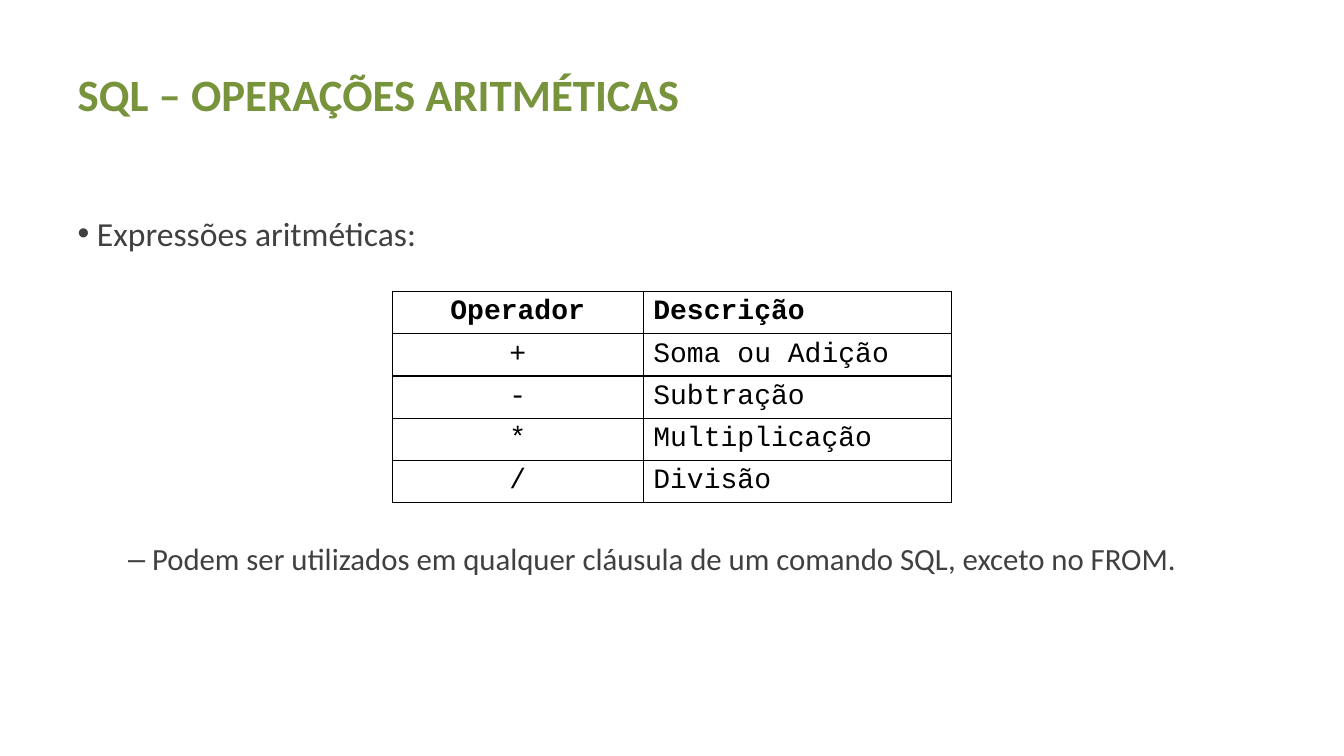
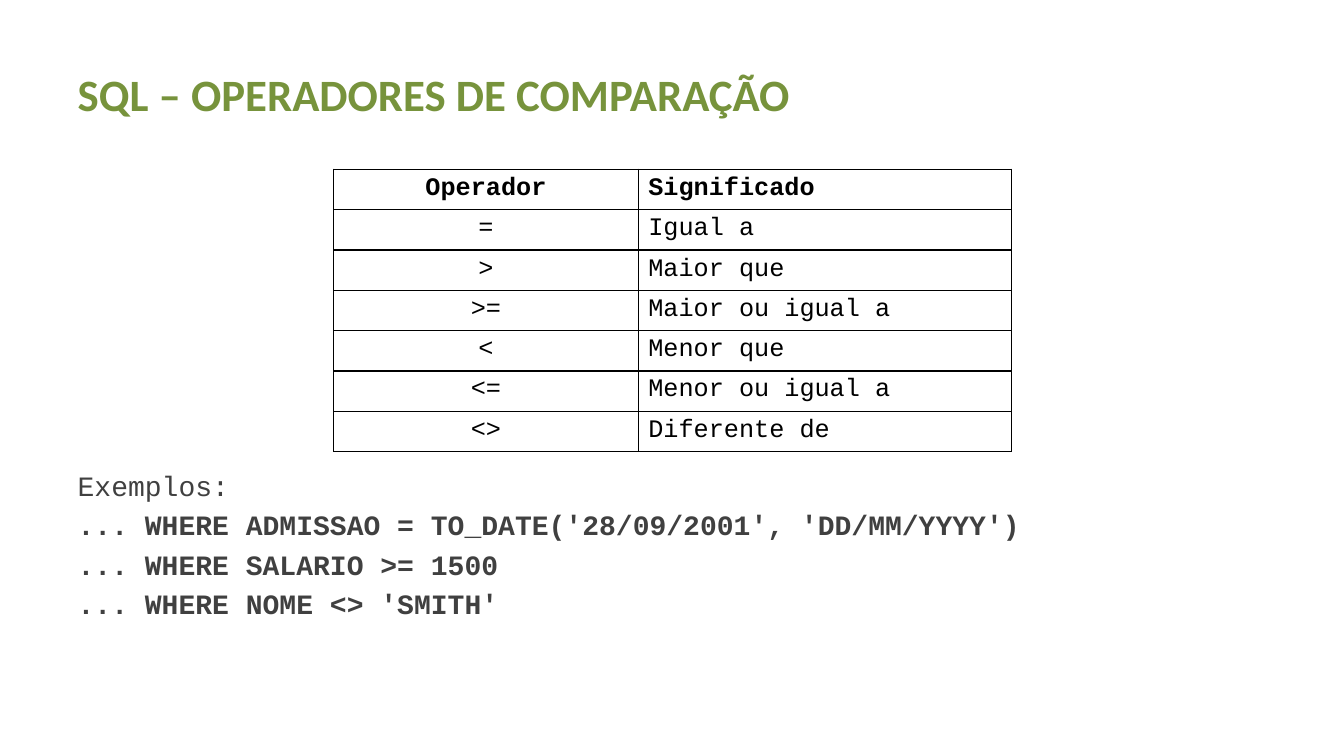
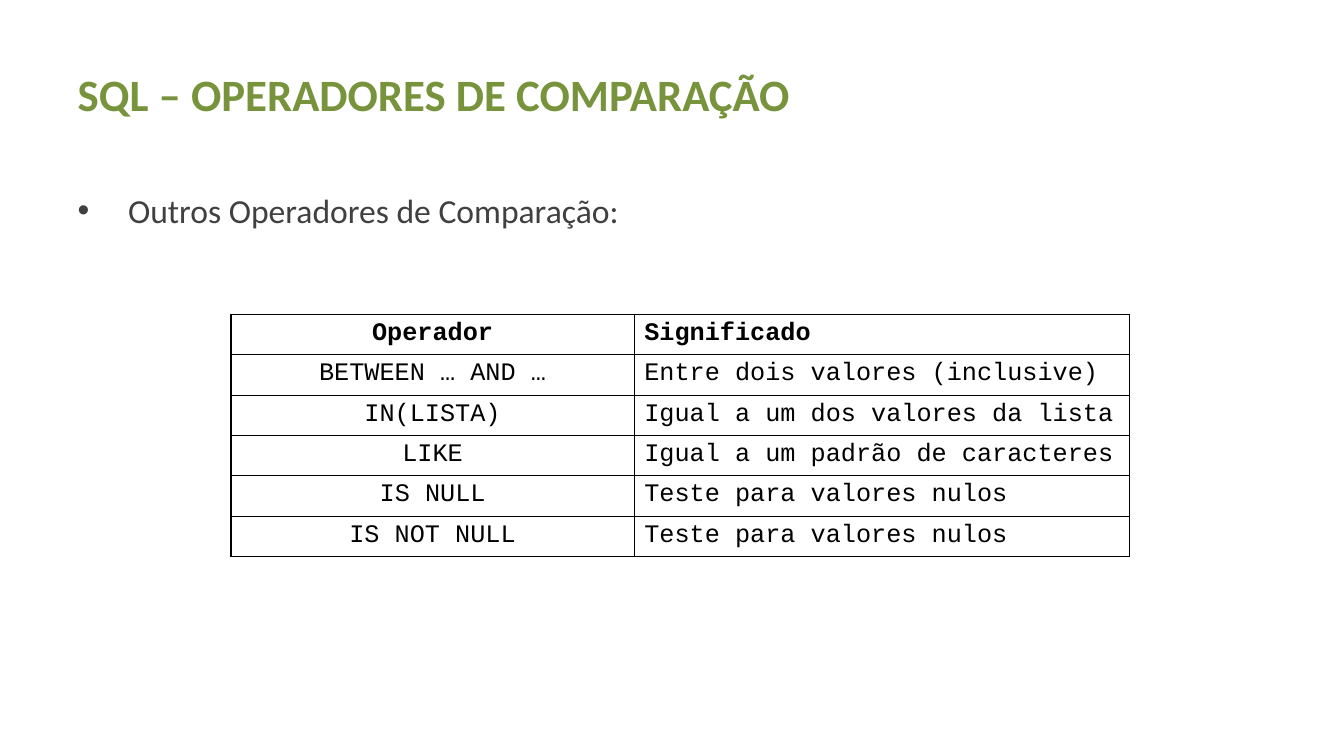
from lxml import etree
from pptx import Presentation
from pptx.dml.color import RGBColor
from pptx.enum.text import MSO_ANCHOR, MSO_AUTO_SIZE, PP_ALIGN
from pptx.oxml.ns import qn
from pptx.util import Inches, Pt

LEFT, CENTER, JUSTIFY = PP_ALIGN.LEFT, PP_ALIGN.CENTER, PP_ALIGN.JUSTIFY
MIDDLE = MSO_ANCHOR.MIDDLE
NO_FIT = MSO_AUTO_SIZE.NONE

# Shared style
SLIDE_W, SLIDE_H = 13.33, 7.5
MARGIN, TITLE_TOP, TITLE_H, BODY_BOTTOM = 0.67, 0.3, 1.25, 6.7
CONTENT_W = 12
GREEN, GRAY, BLACK, WHITE = "77933C", "404040", "000000", "FFFFFF"
SANS, MONO = "Calibri", "Courier New"
BORDER_WIDTH = Pt(1)

# Content: each body line is text plus the settings that differ from BODY_LINE
BODY_LINE = dict(font=SANS, size=24, bold=False, level=0,
                 margin=0, indent=0, bullet=None, before=None)
CODE = dict(font=MONO, size=20)
CODE_BOLD = dict(CODE, bold=True)

SLIDES = [
    dict(
        title="SQL – OPERAÇÕES ARITMÉTICAS",
        body_top=2.06,
        body=[
            (" Expressões aritméticas:", dict(bullet="•")),
            (" Podem ser utilizados em qualquer cláusula de um comando SQL, exceto no FROM.",
             dict(size=22, level=1, margin=0.5, bullet="–", before=205)),
        ],
        table=dict(left=3.89, top=2.89, columns=(2.49, 3.06), row_height=0.42, size=20),
        rows=[
            ("Operador", "Descrição"),
            ("+", "Soma ou Adição"),
            ("-", "Subtração"),
            ("*", "Multiplicação"),
            ("/", "Divisão"),
        ],
    ),
    dict(
        title="SQL – OPERADORES DE COMPARAÇÃO",
        body_top=4.6,
        body=[
            ("Exemplos:", CODE),
            ("... WHERE ADMISSAO = TO_DATE('28/09/2001', 'DD/MM/YYYY')", CODE_BOLD),
            ("... WHERE SALARIO >= 1500", CODE_BOLD),
            ("... WHERE NOME <> 'SMITH'", CODE_BOLD),
        ],
        table=dict(left=3.31, top=1.68, columns=(3.02, 3.7), row_height=0.4, size=18),
        rows=[
            ("Operador", "Significado"),
            ("=", "Igual a"),
            (">", "Maior que"),
            (">=", "Maior ou igual a"),
            ("<", "Menor que"),
            ("<=", "Menor ou igual a"),
            ("<>", "Diferente de"),
        ],
    ),
    dict(
        title="SQL – OPERADORES DE COMPARAÇÃO",
        body_top=1.83,
        body=[("Outros Operadores de Comparação:",
               dict(margin=0.5, indent=-0.5, bullet="•"))],
        table=dict(left=2.29, top=3.12, columns=(4, 4.91), row_height=0.4, size=18),
        rows=[
            ("Operador", "Significado"),
            ("BETWEEN … AND …", "Entre dois valores (inclusive)"),
            ("IN(LISTA)", "Igual a um dos valores da lista"),
            ("LIKE", "Igual a um padrão de caracteres"),
            ("IS NULL", "Teste para valores nulos"),
            ("IS NOT NULL", "Teste para valores nulos"),
        ],
    ),
]


def rgb(color):
    return RGBColor.from_string(color)


def place(shape, left, top, width, height):
    shape.left, shape.top = Inches(left), Inches(top)
    shape.width, shape.height = Inches(width), Inches(height)


def format_text(paragraph, font, size, color, bold, align):
    paragraph.alignment = align
    for run in paragraph.runs:
        run.font.name, run.font.size, run.font.bold = font, Pt(size), bold
        run.font.color.rgb = rgb(color)


def set_bullet(paragraph, margin, indent, bullet):
    properties = paragraph._p.get_or_add_pPr()
    properties.set("marL", str(Inches(margin)))
    properties.set("indent", str(Inches(indent)))
    if bullet:
        font = etree.SubElement(properties, qn("a:buFont"))
        font.set("typeface", "Arial")
        etree.SubElement(properties, qn("a:buChar")).set("char", bullet)
    else:
        etree.SubElement(properties, qn("a:buNone"))


def set_borders(cell):
    properties = cell._tc.get_or_add_tcPr()
    for side in ("lnL", "lnR", "lnT", "lnB"):
        line = etree.SubElement(properties, qn("a:" + side))
        line.set("w", str(BORDER_WIDTH))
        fill = etree.SubElement(line, qn("a:solidFill"))
        etree.SubElement(fill, qn("a:srgbClr")).set("val", BLACK)


def fill_title(title, text):
    place(title, MARGIN, TITLE_TOP, CONTENT_W, TITLE_H)
    frame = title.text_frame
    frame.text = text
    frame.auto_size, frame.vertical_anchor = NO_FIT, MIDDLE
    format_text(frame.paragraphs[0], SANS, 32, GREEN, True, LEFT)


def fill_body(body, top, lines):
    place(body, MARGIN, top, CONTENT_W, BODY_BOTTOM - top)
    frame = body.text_frame
    frame.text = "\n".join(text for text, _ in lines)
    frame.auto_size = NO_FIT
    for paragraph, (_, changes) in zip(frame.paragraphs, lines):
        style = {**BODY_LINE, **changes}
        paragraph.level = style["level"]
        if style["before"]:
            paragraph.space_before = Pt(style["before"])
        set_bullet(paragraph, style["margin"], style["indent"], style["bullet"])
        format_text(paragraph, style["font"], style["size"], GRAY, style["bold"], JUSTIFY)


def add_operators(slide, rows, left, top, columns, row_height, size):
    table = slide.shapes.add_table(
        len(rows), len(columns), Inches(left), Inches(top),
        Inches(sum(columns)), Inches(row_height * len(rows))).table
    table.first_row = table.horz_banding = False
    for column, width in zip(table.columns, columns):
        column.width = Inches(width)
    for r, row in enumerate(rows):
        table.rows[r].height = Inches(row_height)
        for c, text in enumerate(row):
            cell = table.cell(r, c)
            cell.text = text
            format_text(cell.text_frame.paragraphs[0], MONO, size, BLACK,
                        r == 0, LEFT if c else CENTER)
            set_borders(cell)
            cell.fill.solid()
            cell.fill.fore_color.rgb = rgb(WHITE)


def main():
    deck = Presentation()
    deck.slide_width, deck.slide_height = Inches(SLIDE_W), Inches(SLIDE_H)
    title_and_content = deck.slide_layouts[1]
    for content in SLIDES:
        slide = deck.slides.add_slide(title_and_content)
        fill_title(slide.shapes.title, content["title"])
        fill_body(slide.placeholders[1], content["body_top"], content["body"])
        add_operators(slide, content["rows"], **content["table"])
    deck.save("out.pptx")


if __name__ == "__main__":
    main()
